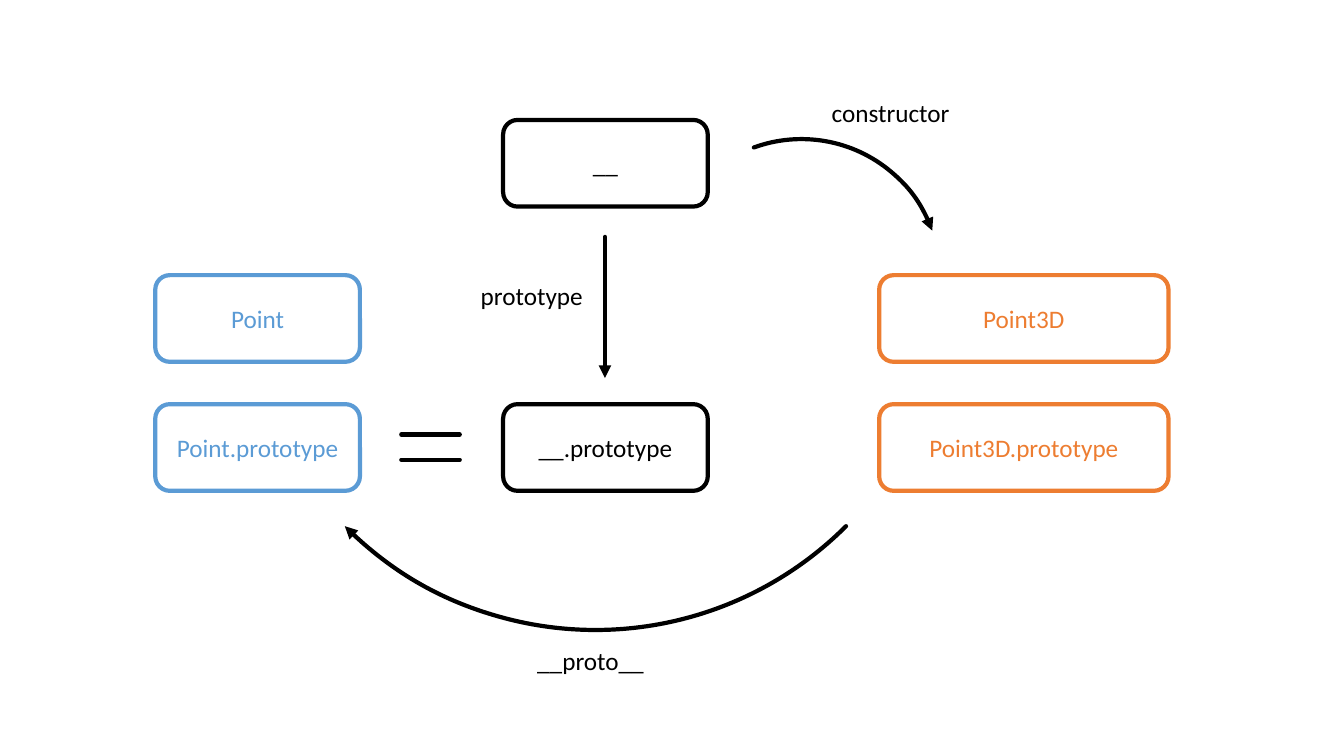
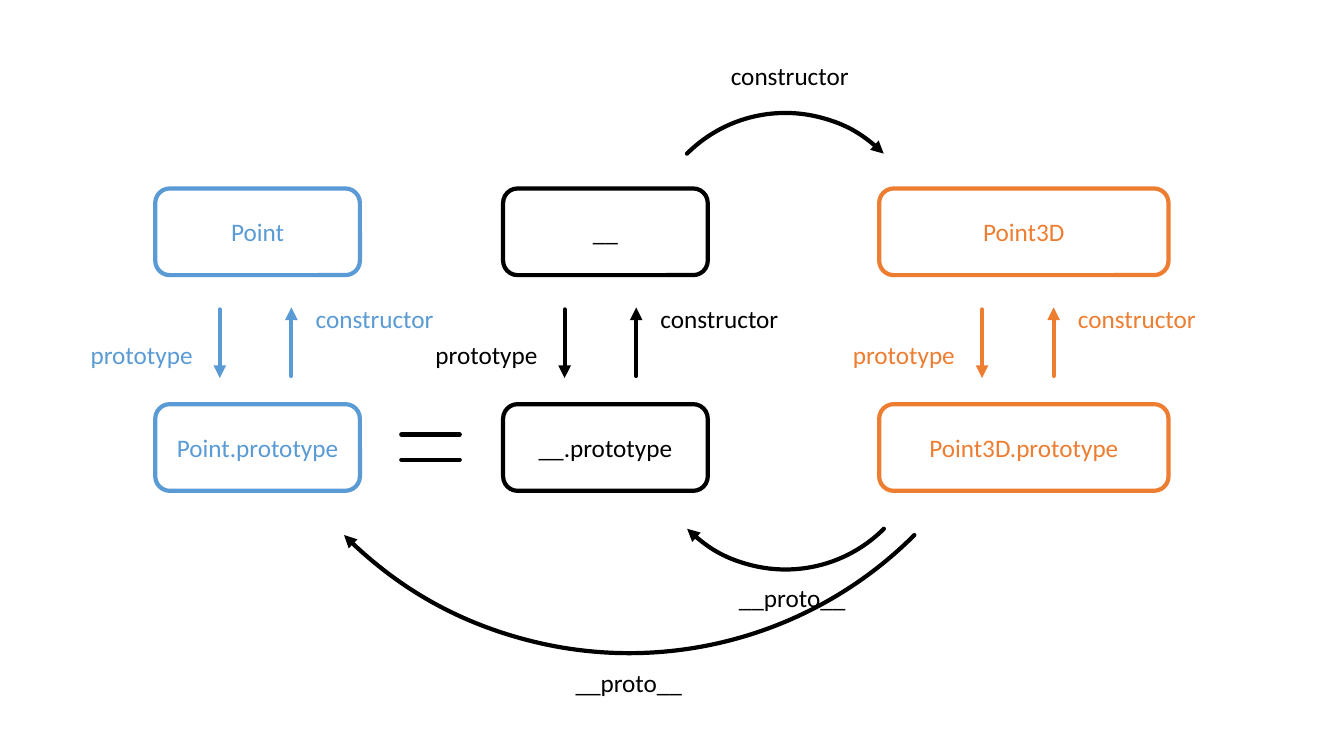
import pptx
import pptx.util
import pptx.dml.color
import pptx.enum.shapes
import pptx.enum.text
import pptx.oxml
import pptx.oxml.ns

Inches = pptx.util.Inches
SHAPE = pptx.enum.shapes.MSO_SHAPE
ALIGN = pptx.enum.text.PP_ALIGN

COLORS = {"base": "5B9BD5", "blank": "000000", "derived": "ED7D31"}
FONT = "Calibri"
BOX_HEIGHT = 0.86
LABEL_HEIGHT = 0.4
PROTOTYPE_TOP = 4.01

# Column name: class name, left, width
COLUMNS = {
    "base": ("Point", 1.54, 2.03),
    "blank": ("__", 4.99, 2.03),
    "derived": ("Point3D", 8.72, 2.87),
}


def rgb(color):
    return pptx.dml.color.RGBColor.from_string(COLORS[color])


def style_line(shape, color, arrow=False, cap="flat"):
    shape.line.color.rgb = rgb(color)
    shape.line.width = pptx.util.Pt(3)
    outline = shape.line._get_or_add_ln()
    outline.set("cap", cap)
    if arrow:
        tail = pptx.oxml.parse_xml(
            f'<a:tailEnd {pptx.oxml.ns.nsdecls("a")} type="triangle"/>')
        outline.append(tail)


def write(shape, text, color, align):
    shape.text_frame.word_wrap = True
    para = shape.text_frame.paragraphs[0]
    para.text = text
    para.alignment = align
    para.font.name = FONT
    para.font.size = pptx.util.Pt(18)
    para.font.color.rgb = rgb(color)


def add_outline(page, preset, left, top, width, height):
    shape = page.shapes.add_shape(
        preset, Inches(left), Inches(top), Inches(width), Inches(height))
    shape.shadow.inherit = False
    shape.fill.background()
    return shape


def add_box(page, text, color, left, top, width):
    box = add_outline(page, SHAPE.ROUNDED_RECTANGLE, left, top, width, BOX_HEIGHT)
    style_line(box, color)
    box.text_frame.vertical_anchor = pptx.enum.text.MSO_ANCHOR.MIDDLE
    write(box, text, color, ALIGN.CENTER)


def add_label(page, text, left, top, width=1.54, color="blank", align=ALIGN.LEFT):
    label = page.shapes.add_textbox(
        Inches(left), Inches(top), Inches(width), Inches(LABEL_HEIGHT))
    write(label, text, color, align)


def add_line(page, start, end, color="blank", arrow=False):
    line = page.shapes.add_connector(
        pptx.enum.shapes.MSO_CONNECTOR.STRAIGHT,
        *(Inches(value) for value in (*start, *end)))
    style_line(line, color, arrow, "rnd")
    effects = pptx.oxml.parse_xml(f'<a:effectLst {pptx.oxml.ns.nsdecls("a")}/>')
    line._element.spPr.append(effects)


def add_curve(page, left, top, size, rotation):
    """Quarter circle ending in an arrowhead."""
    curve = add_outline(page, SHAPE.ARC, left, top, size, size)
    curve.rotation = rotation
    style_line(curve, "blank", True, "rnd")


def add_column(page, color, class_top):
    """A class box above the box of its prototype."""
    name, left, width = COLUMNS[color]
    add_box(page, name, color, left, class_top, width)
    add_box(page, f"{name}.prototype", color, left, PROTOTYPE_TOP, width)


def add_equals(page, left, top, width=0.58, gap=0.25):
    for y in (top, top + gap):
        add_line(page, (left, y), (left + width, y))


def add_links(page, color, left, top=2.96):
    """Arrows down and up between a class and its prototype."""
    down, up = left + 1.41, left + 2.12
    add_label(page, "prototype", left, top + 0.36, 1.27, color, ALIGN.CENTER)
    add_line(page, (down, top + 0.11), (down, top + 0.79), color, True)
    add_line(page, (up, top + 0.77), (up, top + 0.09), color, True)
    add_label(page, "constructor", left + 2.2, top, 1.49, color, ALIGN.CENTER)


def build_lookup_page(page):
    for color, class_top in (("base", 2.73), ("blank", 1.19), ("derived", 2.73)):
        add_column(page, color, class_top)
    add_equals(page, 3.98, 4.31)
    # Prototype of the blank function
    add_line(page, (6, 2.35), (6, 3.75), arrow=True)
    add_label(page, "prototype", 4.67, 2.73, 1.44)
    # Curved links
    add_curve(page, 6.57, 1.38, 2.76, 340)
    add_label(page, "constructor", 8.15, 0.92)
    add_curve(page, 2.39, -0.78, 7.03, 135)
    add_label(page, "__proto__", 5.23, 6.35)


def build_full_page(page):
    for color, links_left in (("base", 0.77), ("blank", 4.19), ("derived", 8.33)):
        add_column(page, color, 1.87)
        add_links(page, color, links_left)
    add_equals(page, 3.98, 4.31)
    # Curved links
    add_curve(page, 6.41, 1.12, 2.76, 315)
    add_label(page, "constructor", 7.15, 0.55)
    add_curve(page, 2.24, -1.52, 8, 135)
    add_label(page, "__proto__", 5.61, 6.57)
    add_curve(page, 6.41, 2.89, 2.76, 135)
    add_label(page, "__proto__", 7.23, 5.73)


deck = pptx.Presentation()
deck.slide_width, deck.slide_height = Inches(13.33), Inches(7.5)
for build in (build_lookup_page, build_full_page):
    build(deck.slides.add_slide(deck.slide_layouts[6]))
deck.save("out.pptx")
